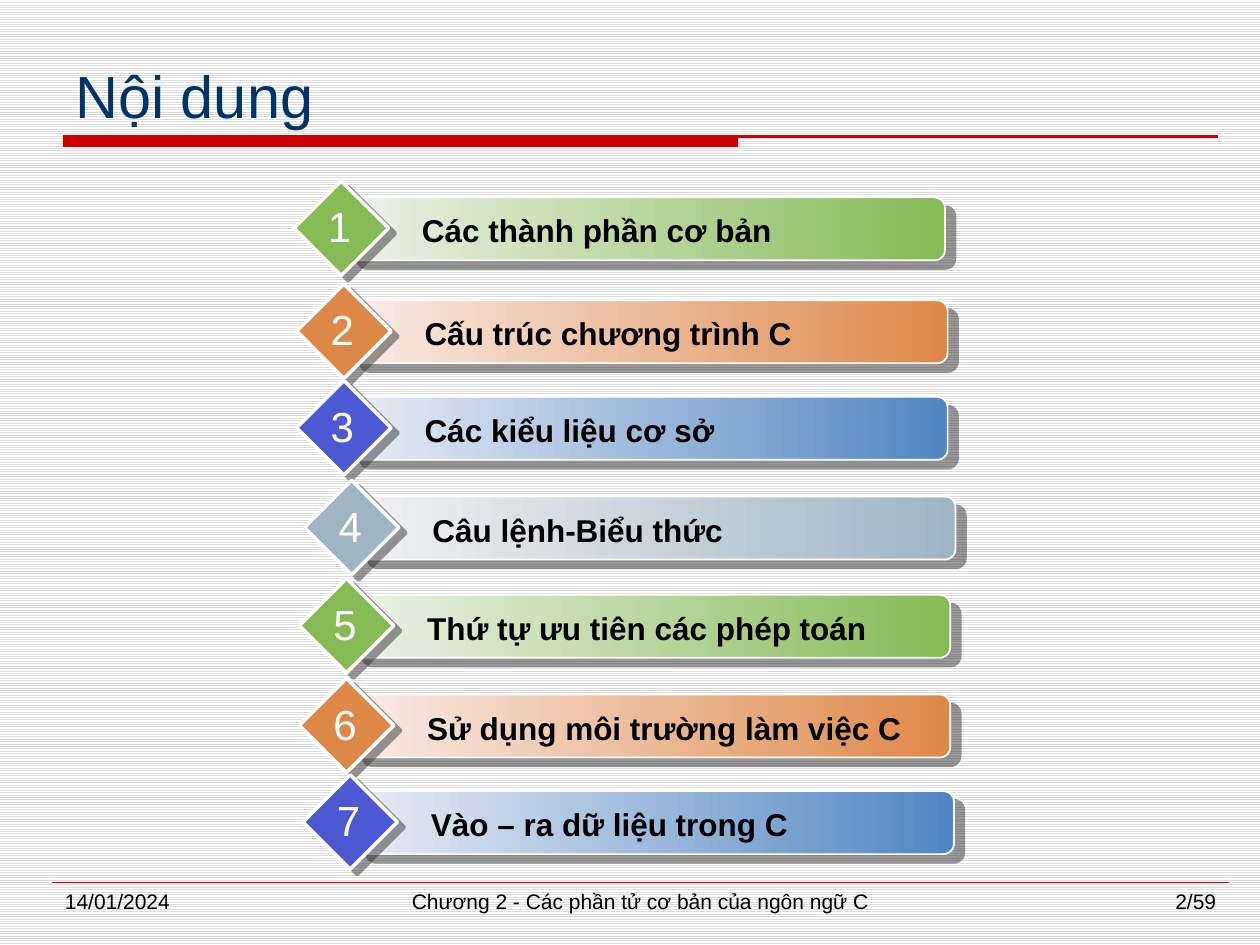
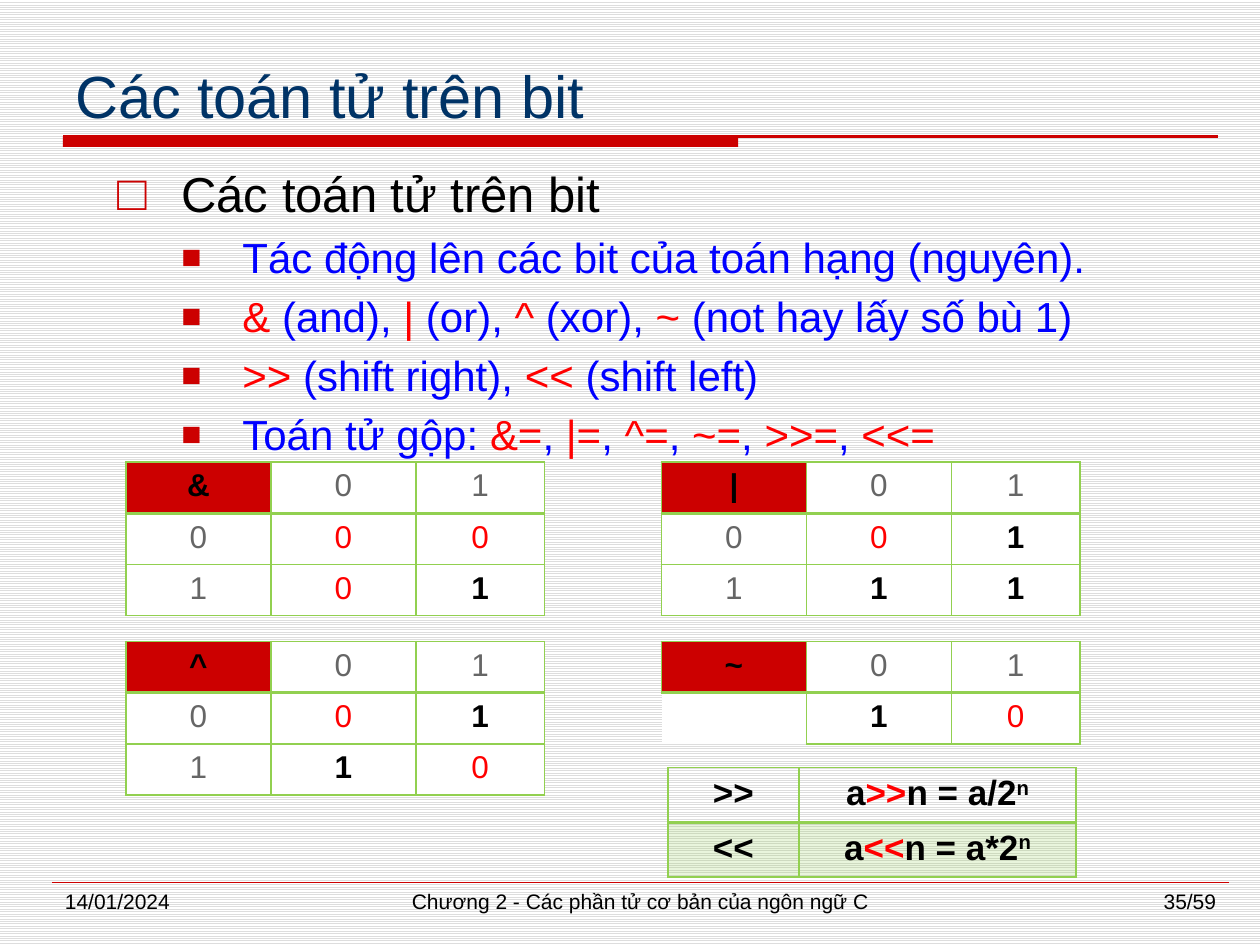
from itertools import cycle

from lxml.etree import SubElement
from pptx import Presentation
from pptx.dml.color import RGBColor
from pptx.enum.dml import MSO_PATTERN
from pptx.enum.shapes import MSO_CONNECTOR, MSO_SHAPE
from pptx.enum.text import MSO_ANCHOR, PP_ALIGN
from pptx.oxml.ns import qn
from pptx.util import Inches, Pt

FONT = "Arial"
COLUMNS, ROWS = 120, 90
COLOURS = {
    "title": "003366", "accent": "CC0000", "text": "000000", "white": "FFFFFF",
    "stripe": "DDDDDD", "shadow": "333333", "blue": "0000FF", "red": "FF0000",
    "header": "666666", "border": "92D050",
    "green": "85BA54", "green_pale": "ECF2E8",
    "orange": "DE8848", "orange_pale": "F8ECE7",
    "sky": "5086C2", "sky_pale": "E8ECF4", "indigo": "4C59D2",
    "steel": "A0B5C4", "steel_pale": "EFF2F4",
}
DATE = "14/01/2024"
CHAPTER = "Chương 2 - Các phần tử cơ bản của ngôn ngữ C"
PAGE_COUNT = 59

# Bar gradient start, bar gradient end, diamond
GREEN = ("green_pale", "green", "green")
ORANGE = ("orange_pale", "orange", "orange")
BLUE = ("sky_pale", "sky", "indigo")
STEEL = ("steel_pale", "steel", "steel")

# Column and row of each bar, its palette and its topic
TOPICS = [
    (33, 18.8, GREEN, "Các thành phần cơ bản"),
    (33.25, 28.6, ORANGE, "Cấu trúc chương trình C"),
    (33.25, 37.8, BLUE, "Các kiểu liệu cơ sở"),
    (34, 47.3, STEEL, "Câu lệnh-Biểu thức"),
    (33.5, 56.65, GREEN, "Thứ tự ưu tiên các phép toán"),
    (33.5, 66.15, ORANGE, "Sử dụng môi trường làm việc C"),
    (33.85, 75.35, BLUE, "Vào – ra dữ liệu trong C"),
]

TRUTH_TABLES = [
    (12, 44, ["& 0 1", "0 0 0", "1 0 1"]),
    (63, 44, ["| 0 1", "0 0 1", "1 1 1"]),
    (12, 61.1, ["^ 0 1", "0 0 1", "1 1 0"]),
    (63, 61.1, ["~ 0 1", " 1 0"]),
]


def rgb(name):
    return RGBColor.from_string(COLOURS[name])


def alternate(texts, first, second):
    """Pair the texts with two colours in turn."""
    return list(zip(texts, cycle((first, second))))


def add_colour(parent, name, alpha=100):
    colour = SubElement(parent, qn("a:srgbClr"), val=COLOURS[name])
    if alpha < 100:
        SubElement(colour, qn("a:alpha"), val=str(alpha * 1000))


class Deck:
    def __init__(self):
        self.presentation = Presentation()
        self.presentation.slide_width = Inches(10)
        self.presentation.slide_height = Inches(7.5)
        self.slide = None

    def x(self, columns):
        return round(self.presentation.slide_width * columns / COLUMNS)

    def y(self, rows):
        return round(self.presentation.slide_height * rows / ROWS)

    def box(self, left, top, width, height):
        return self.x(left), self.y(top), self.x(width), self.y(height)

    def add_slide(self, title, number):
        """Start a slide with the striped ground, title band and footer."""
        self.slide = self.presentation.slides.add_slide(self.presentation.slide_layouts[6])
        ground = self.slide.background.fill
        ground.patterned()
        ground.pattern = MSO_PATTERN.LIGHT_HORIZONTAL
        ground.fore_color.rgb = rgb("stripe")
        ground.back_color.rgb = rgb("white")
        self.shape(MSO_SHAPE.RECTANGLE, (6, 13, 64.3, 1), "accent")
        self.rule(6, 116, 13, 1.5)
        self.rule(5, 117, 84, 0.25)
        self.text((6, 4, 110, 9), [(title, "title")], 34, anchor=MSO_ANCHOR.BOTTOM)
        footer = [(5, 26, DATE, PP_ALIGN.LEFT), (35, 52, CHAPTER, PP_ALIGN.CENTER),
                  (91, 26, f"{number}/{PAGE_COUNT}", PP_ALIGN.RIGHT)]
        for left, width, words, align in footer:
            self.text((left, 84, width, 4.2), [(words, "text")], 12, align=align)

    def rule(self, start, end, row, width):
        line = self.slide.shapes.add_connector(
            MSO_CONNECTOR.STRAIGHT, self.x(start), self.y(row), self.x(end), self.y(row))
        line.line.color.rgb = rgb("accent")
        line.line.width = Pt(width)
        SubElement(line._element.spPr, qn("a:effectLst"))

    def shape(self, kind, box, fill, line_width=0, shadow=None, parent=None):
        """Draw a shape; fill is a colour or a pair, shadow a distance and an angle."""
        shape = (parent or self.slide).shapes.add_shape(kind, *self.box(*box))
        shape.shadow.inherit = False
        if isinstance(fill, tuple):
            shape.fill.gradient()
            shape.fill.gradient_angle = 0
            for stop, position, name in zip(shape.fill.gradient_stops, (0, 1), fill):
                stop.position = position
                stop.color.rgb = rgb(name)
        else:
            shape.fill.solid()
            shape.fill.fore_color.rgb = rgb(fill)
        if line_width:
            shape.line.color.rgb = rgb("white")
            shape.line.width = Pt(line_width)
        else:
            shape.line.fill.background()
        if shadow:
            distance, angle = shadow
            effects = shape._element.spPr.find(qn("a:effectLst"))
            outer = SubElement(effects, qn("a:outerShdw"), dist=str(Pt(distance)),
                               dir=str(angle * 60000), algn="ctr", rotWithShape="0")
            add_colour(outer, "shadow", 50)
        return shape

    def runs(self, paragraph, runs, size, bold=False, align=PP_ALIGN.LEFT):
        paragraph.alignment = align
        for words, colour, *raised in runs:
            run = paragraph.add_run()
            run.text = words
            run.font.name = FONT
            run.font.size = Pt(size)
            run.font.bold = bold
            run.font.color.rgb = rgb(colour)
            if raised:
                run._r.get_or_add_rPr().set("baseline", "30000")

    def text(self, box, runs, size, bold=False, align=PP_ALIGN.LEFT,
             anchor=MSO_ANCHOR.TOP, wrap=True, parent=None):
        frame = (parent or self.slide).shapes.add_textbox(*self.box(*box)).text_frame
        frame.word_wrap = wrap
        frame.vertical_anchor = anchor
        self.runs(frame.paragraphs[0], runs, size, bold, align)

    def topic(self, number, left, top, palette, words):
        """Group a gradient bar, its numbered diamond and their texts."""
        group = self.slide.shapes.add_group_shape()
        start, end, diamond = palette
        self.shape(MSO_SHAPE.ROUNDED_RECTANGLE, (left, top, 57, 6), (start, end),
                   1, (7.8, 40), group)
        self.shape(MSO_SHAPE.DIAMOND, (left - 5, top - 1.56, 9, 9), diamond,
                   2, (5, 37), group)
        self.text((left + 6, top + 0.75, 51, 4.8), [(words, "text")], 18, True, parent=group)
        self.text((left - 3, top - 0.25, 4.7, 6), [(str(number), "white")], 24,
                  align=PP_ALIGN.CENTER, wrap=False, parent=group)

    def bullets(self, box, heading, items):
        frame = self.slide.shapes.add_textbox(*self.box(*box)).text_frame
        frame.word_wrap = True
        levels = [(heading, 28, "□", 100, 6.1, 6.1)]
        levels += [(runs, 24, "■", 80, 11.9, 5.8) for runs in items]
        for index, (runs, size, mark, percent, margin, hanging) in enumerate(levels):
            paragraph = frame.add_paragraph() if index else frame.paragraphs[0]
            properties = paragraph._p.get_or_add_pPr()
            properties.set("marL", str(self.x(margin)))
            properties.set("indent", str(-self.x(hanging)))
            add_colour(SubElement(properties, qn("a:buClr")), "accent")
            SubElement(properties, qn("a:buSzPct"), val=str(percent * 1000))
            SubElement(properties, qn("a:buFont"), typeface=FONT)
            SubElement(properties, qn("a:buChar"), char=mark)
            if index:
                paragraph.level = 1
                paragraph.space_before = Pt(5)
            self.runs(paragraph, runs, size, align=PP_ALIGN.JUSTIFY)

    def table(self, left, top, widths, row_count):
        height = 4.88
        table = self.slide.shapes.add_table(
            row_count, len(widths),
            *self.box(left, top, sum(widths), height * row_count)).table
        table.first_row = table.horz_banding = False
        for column, width in zip(table.columns, widths):
            column.width = self.x(width)
        for row in table.rows:
            row.height = self.y(height)
        return table

    def cell(self, table, row, column, runs, size, bold, fill=None, alpha=100, open_sides=()):
        """Fill one cell; the line under the first row is the heavy one."""
        cell = table.cell(row, column)
        self.runs(cell.text_frame.paragraphs[0], runs, size, bold, PP_ALIGN.CENTER)
        properties = cell._tc.get_or_add_tcPr()
        heavy = "lnB" if row == 0 else "lnT" if row == 1 else None
        for side in ("lnL", "lnR", "lnT", "lnB"):
            line = SubElement(properties, qn(f"a:{side}"), w=str(Pt(2 if side == heavy else 1)))
            if side in open_sides:
                SubElement(line, qn("a:noFill"))
            else:
                add_colour(SubElement(line, qn("a:solidFill")), "border")
        if fill:
            add_colour(SubElement(properties, qn("a:solidFill")), fill, alpha)
        else:
            cell.fill.background()

    def truth_table(self, left, top, lines):
        """Operator in the corner, operands in grey, results red for 0 and bold for 1."""
        table = self.table(left, top, (13.8, 13.8, 12.24), len(lines))
        for row, line in enumerate(lines):
            for column, value in enumerate(line.split(" ")):
                corner = row == column == 0
                result = row > 0 and column > 0
                bold = corner or (result and value == "1")
                colour = "text" if bold else "red" if result else "header"
                self.cell(table, row, column, [(value, colour)] if value else [], 18, bold,
                          "accent" if corner else "white",
                          open_sides=() if value else ("lnL", "lnB"))

    def shift_table(self, left, top, shifts):
        table = self.table(left, top, (12.5, 26.4), len(shifts))
        for row, (operator, formula) in enumerate(shifts):
            meaning = [("a", "text"), (operator, "red"), (formula, "text"), ("n", "text", True)]
            fill = "border" if row else None
            for column, runs in enumerate(([(operator, "text")], meaning)):
                self.cell(table, row, column, runs, 20, True, fill, 20)


def main():
    deck = Deck()

    deck.add_slide("Nội dung", 2)
    for number, topic in enumerate(TOPICS, 1):
        deck.topic(number, *topic)

    deck.add_slide("Các toán tử trên bit", 35)
    deck.bullets((10, 15, 104, 68), [("Các toán tử trên bit", "text")], [
        [("Tác động lên các bit của toán hạng (nguyên).", "blue")],
        alternate(["&", " (and), ", "|", " (or), ", "^", " (xor), ", "~",
                   " (not hay lấy số bù 1)"], "red", "blue"),
        alternate([">>", " (shift right), ", "<<", " (shift left)"], "red", "blue"),
        alternate(["Toán tử gộp: ", "&=", ", ", "|=", ", ", "^=", ", ", "~=", ", ",
                   ">>=", ", ", "<<="], "blue", "red"),
    ])
    for truth_table in TRUTH_TABLES:
        deck.truth_table(*truth_table)
    deck.shift_table(63.6, 73.1, [(">>", "n = a/2"), ("<<", "n = a*2")])

    deck.presentation.save("out.pptx")


if __name__ == "__main__":
    main()
